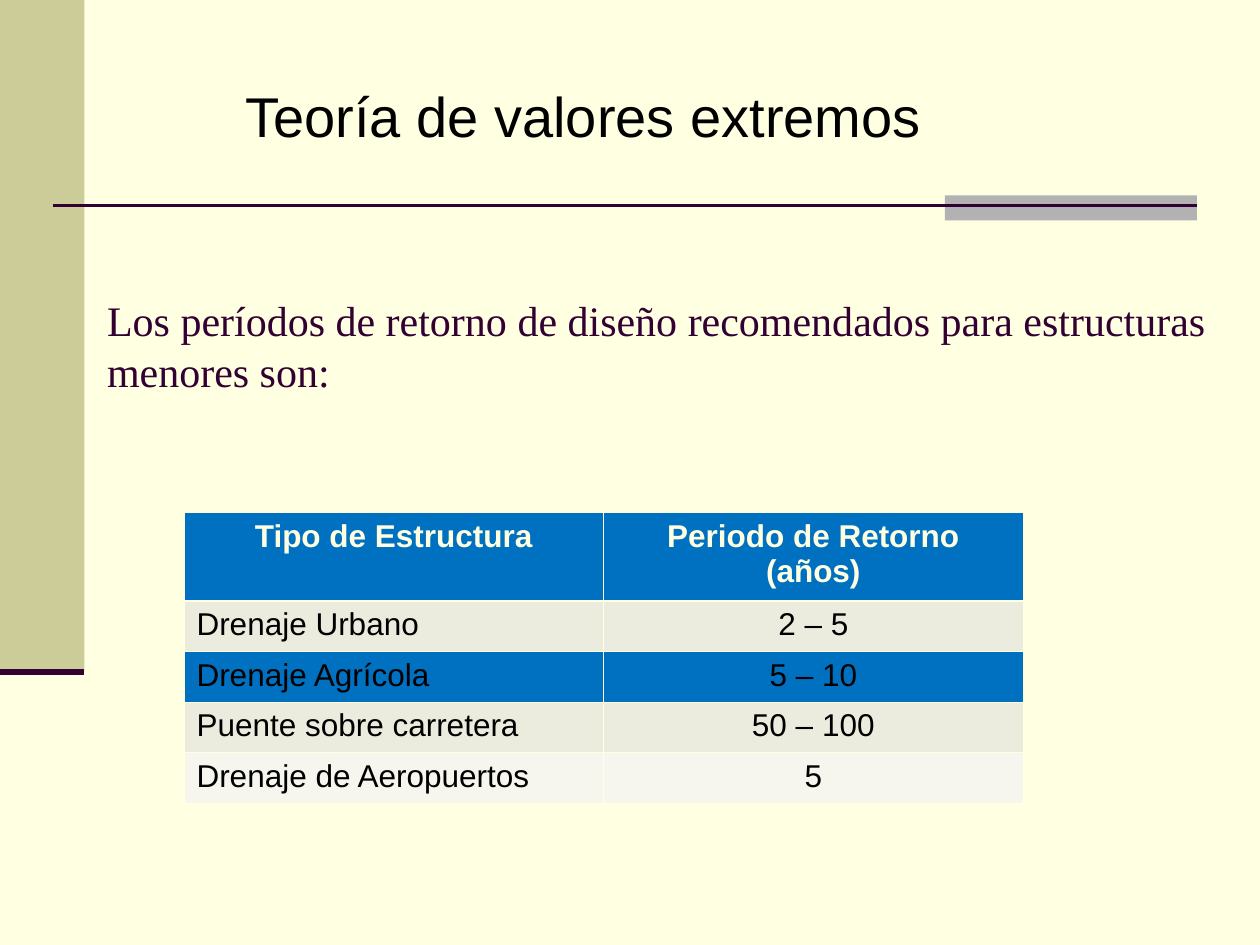
from dataclasses import dataclass

from lxml import etree
from pptx import Presentation
from pptx.dml.color import RGBColor
from pptx.enum import shapes, text
from pptx.oxml import ns
from pptx.util import Inches, Pt


@dataclass(frozen=True)
class Theme:
    """Colours, fonts and type sizes of the slide."""
    cream: str = "FFFFE1"
    olive: str = "CCCC99"
    grey: str = "B2B2B2"
    plum: str = "330033"
    black: str = "000000"
    blue: str = "0070C0"
    beige: str = "ECECDE"
    pale: str = "F6F6EF"
    sans: str = "Arial"
    serif: str = "Times New Roman"
    heading_size: int = 32
    lead_size: int = 24
    table_size: int = 18


THEME = Theme()
ROWS = [
    ("Tipo de Estructura", "Periodo de Retorno (años)"),
    ("Drenaje Urbano", "2 – 5"),
    ("Drenaje Agrícola", "5 – 10"),
    ("Puente sobre carretera", "50 – 100"),
    ("Drenaje de Aeropuertos", "5"),
]
ROW_FILLS = [THEME.blue, THEME.beige, THEME.blue, THEME.beige, THEME.pale]


def rgb(value):
    """Return the colour for a hexadecimal string."""
    return RGBColor.from_string(value)


def write(frame, content, *, size, color=THEME.black, font=THEME.sans, bold=False,
          align=text.PP_ALIGN.LEFT, anchor=text.MSO_ANCHOR.TOP):
    """Write one formatted paragraph into a text frame."""
    frame.word_wrap = True
    frame.vertical_anchor = anchor
    paragraph = frame.paragraphs[0]
    paragraph.alignment = align
    run = paragraph.add_run()
    run.text = content
    run.font.size = Pt(size)
    run.font.name = font
    run.font.bold = bold
    run.font.color.rgb = rgb(color)


def add_bar(slide, left, top, width, height, color):
    """Add a plain filled rectangle."""
    bar = slide.shapes.add_shape(shapes.MSO_SHAPE.RECTANGLE, Inches(left), Inches(top),
                                 Inches(width), Inches(height))
    bar.shadow.inherit = False
    bar.fill.solid()
    bar.fill.fore_color.rgb = rgb(color)
    bar.line.fill.background()


def add_rule(slide, left, right, top, weight):
    """Add a horizontal line."""
    rule = slide.shapes.add_connector(shapes.MSO_CONNECTOR.STRAIGHT, Inches(left), Inches(top),
                                      Inches(right), Inches(top))
    rule.line.color.rgb = rgb(THEME.plum)
    rule.line.width = Pt(weight)
    etree.SubElement(rule._element.spPr, ns.qn("a:effectLst"))


def set_borders(cell, **weights):
    """Draw cell borders, given as side=weight in points."""
    properties = cell._tc.get_or_add_tcPr()
    for position, (side, weight) in enumerate(weights.items()):
        border = etree.Element(ns.qn(f"a:ln{side}"), w=str(Pt(weight)))
        fill = etree.SubElement(border, ns.qn("a:solidFill"))
        etree.SubElement(fill, ns.qn("a:srgbClr"), val=THEME.cream)
        properties.insert(position, border)


def add_periods_table(slide):
    """Add the table of return periods."""
    heights = [0.7] + [0.4] * (len(ROWS) - 1)
    table = slide.shapes.add_table(len(ROWS), 2, Inches(1.46), Inches(4.07),
                                   Inches(6.66), Inches(sum(heights))).table
    for row, height in zip(table.rows, heights):
        row.height = Inches(height)
    for r, (values, color) in enumerate(zip(ROWS, ROW_FILLS)):
        header = r == 0
        for c, value in enumerate(values):
            cell = table.cell(r, c)
            cell.fill.solid()
            cell.fill.fore_color.rgb = rgb(color)
            set_borders(cell, L=0.45, R=0.45, T=1.47 if r == 1 else 0.45,
                        B=1.47 if header else 0.45)
            centred = header or c == 1
            write(cell.text_frame, value, size=THEME.table_size, bold=header,
                  color=THEME.cream if header else THEME.black,
                  align=text.PP_ALIGN.CENTER if centred else text.PP_ALIGN.LEFT)


def add_heading(slide):
    """Add the heading above the rule."""
    box = slide.shapes.add_textbox(Inches(1.85), Inches(0.6), Inches(5.74), Inches(0.64))
    write(box.text_frame, "Teoría de valores extremos", size=THEME.heading_size)


def format_title(slide):
    """Place and fill the title placeholder."""
    title = slide.shapes.title
    title.left, title.top = Inches(0.75), Inches(2.1)
    title.width, title.height = Inches(9.01), Inches(1.28)
    title.text_frame.auto_size = text.MSO_AUTO_SIZE.NONE
    write(title.text_frame,
          "Los períodos de retorno de diseño recomendados para estructuras menores son:",
          size=THEME.lead_size, font=THEME.serif, color=THEME.plum,
          anchor=text.MSO_ANCHOR.MIDDLE)


def main():
    """Build and save the slide."""
    presentation = Presentation()
    presentation.slide_width, presentation.slide_height = Inches(10), Inches(7.5)
    slide = presentation.slides.add_slide(presentation.slide_layouts[5])
    slide.background.fill.solid()
    slide.background.fill.fore_color.rgb = rgb(THEME.cream)
    add_bar(slide, 0, 0, 0.67, 5.33, THEME.olive)
    add_bar(slide, 7.5, 1.55, 2, 0.2, THEME.grey)
    add_rule(slide, 0.42, 9.5, 1.63, 1.5)
    add_rule(slide, 0, 0.67, 5.33, 3.5)
    add_heading(slide)
    add_periods_table(slide)
    format_title(slide)
    presentation.save("out.pptx")


main()
